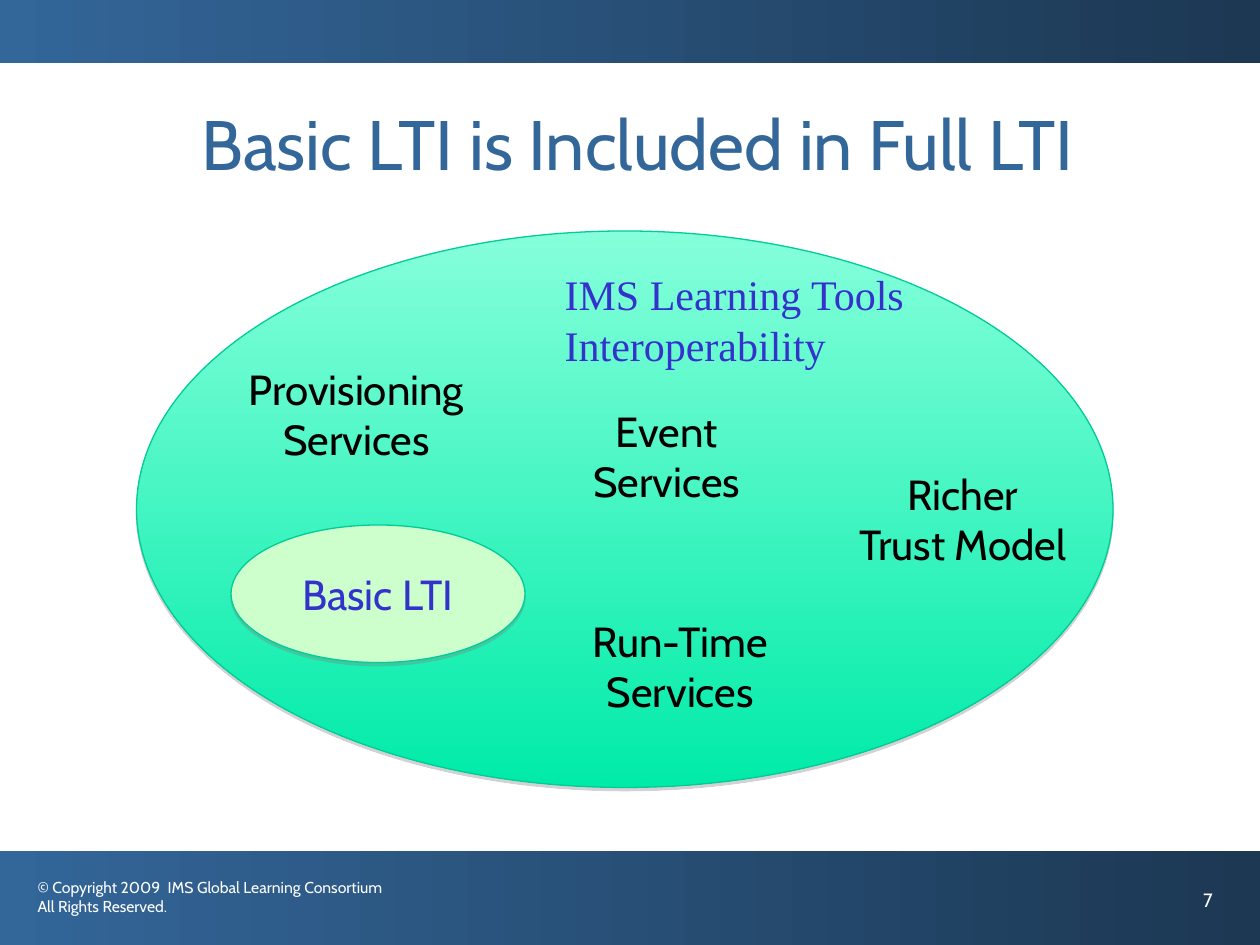
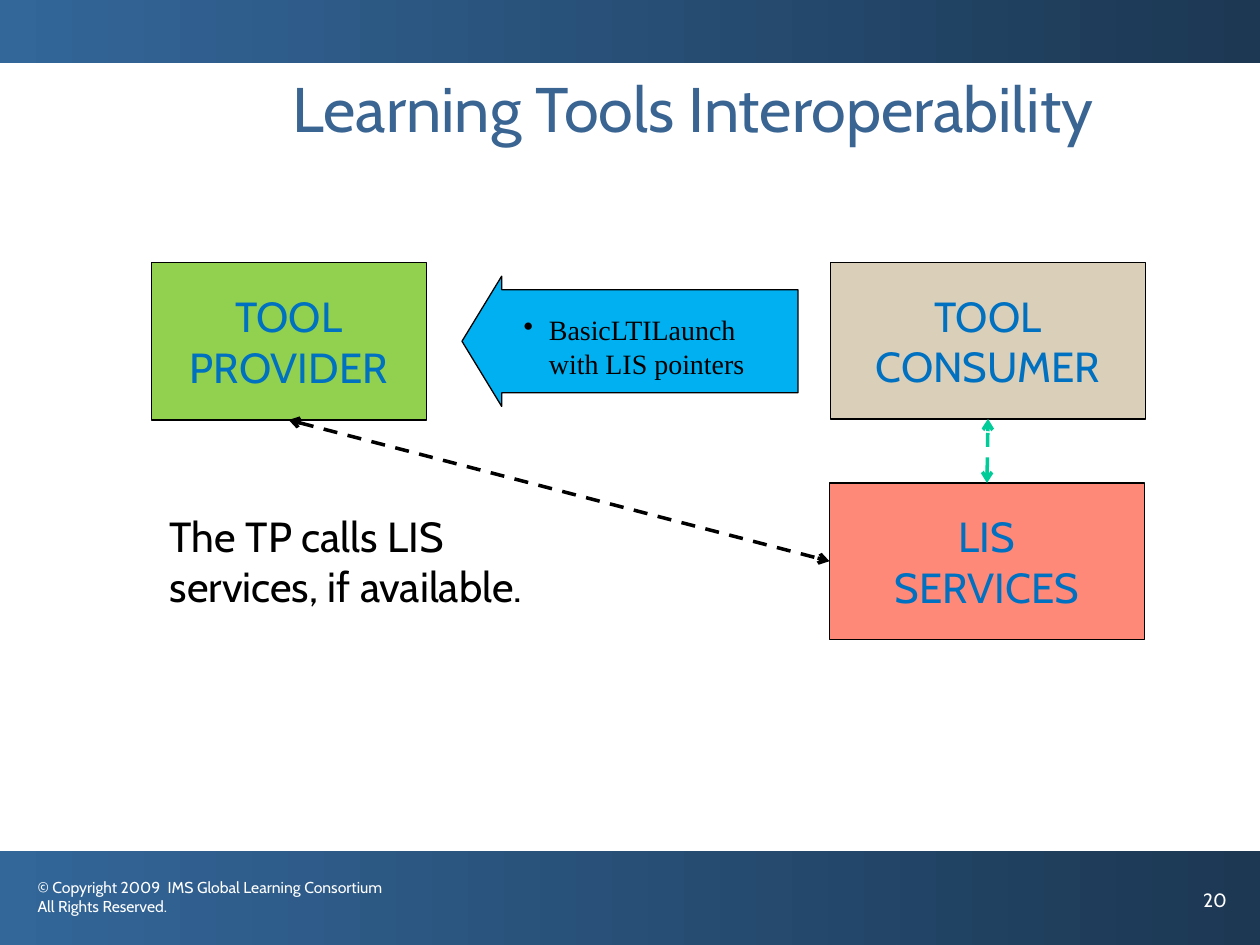
from lxml import etree
from pptx import Presentation
from pptx import util as u
from pptx.dml.color import RGBColor
from pptx.enum import dml, shapes, text
from pptx.oxml import ns

# Grid: one cell is a twelfth of an inch, so the slide is 120 x 90 cells
CELL = u.Inches(1) // 12
COLUMNS, ROWS = 120, 90
LABEL_HEIGHT = 10.8

# Shared styles
SANS, SERIF = "Cabin", "Times New Roman"
BAND = ("336699", "1C3853")
BODY = dict(name=SANS, size=24, color="000000")
CENTERED = dict(BODY, align="CENTER")
FOOTER = dict(name=SANS, size=9, color="FFFFFF")
NUMBER = dict(FOOTER, size=11)
BOX_TEXT = dict(CENTERED, color="0070C0")

# Shared content
COPYRIGHT = ["© Copyright 2009  IMS Global Learning Consortium",
             "All Rights Reserved."]
BANDS = [(0, 0, COLUMNS, 6), (0, 81.1, COLUMNS, ROWS - 81.1)]

# Content: what full LTI contains
INCLUDED = dict(
    number="7", title="Basic LTI is Included in Full LTI",
    title_at=(18, 9, 99, 14),
    title_style=dict(name=SANS, size=40, color="336699"))
FULL_LTI = dict(at=(13, 22, 93, 53), fill=("85FFDB", "00EBA8"))
BASIC_LTI = dict(at=(22, 50, 28, 13.1), fill="CCFFCC", lines=["Basic LTI"],
                 style=dict(CENTERED, color="3333CC"))
SERVICES = [  # lines, left, top, width, style
    (["Provisioning", "Services"], 21.1, 34, 25.7, CENTERED),
    (["Run-Time", "Services"], 54.6, 58, 20.4, CENTERED),
    (["Event", "Services"], 54.7, 38, 17.6, CENTERED),
    (["Richer", "Trust Model"], 79.2, 44, 25, CENTERED),
    (["IMS Learning Tools", "Interoperability"], 52.6, 25, 36,
     dict(BODY, name=SERIF, color="3333CC")),
]

# Content: how the systems talk to each other
INTEROPERABILITY = dict(
    number="20", title="Learning Tools Interoperability",
    title_at=(15, 6.6, 102, 15),
    title_style=dict(name=SANS, size=36, color="3A6492", align="CENTER",
                     line_spacing=0.95))
SYSTEMS = {
    "provider": (["TOOL PROVIDER"], (14.4, 25, 26.2, 15), "92D050"),
    "consumer": (["TOOL CONSUMER"], (79.1, 25, 30, 14.9), "DACFB9"),
    "lis": (["LIS", "SERVICES"], (79, 46, 30, 14.9), "FF8979"),
}
TOP, LEFT, BOTTOM = 0, 1, 2  # connection sites of a rectangle
LINKS = [("provider", BOTTOM, "lis", LEFT, "000000"),
         ("lis", TOP, "consumer", BOTTOM, "00CC99")]
LAUNCH_ARROW = dict(at=(44, 26.3, 32, 12.4), adjustments=(0.792, 0.305))
LAUNCH = ["BasicLTILaunch with LIS pointers"]
LAUNCH_STYLE = dict(BODY, name=SERIF, size=16, bullet=True)
NOTE = ["The TP calls LIS", "services, if available."]


def rgb(value):
    return RGBColor.from_string(value)


def cells(*values):
    return [round(value * CELL) for value in values]


def add_xml(parent, tag, **attributes):
    return etree.SubElement(parent, ns.qn(tag), attributes)


def write(shape, lines, style, anchor="TOP"):
    frame = shape.text_frame
    settings = dict(word_wrap=True,
                    vertical_anchor=getattr(text.MSO_ANCHOR, anchor),
                    margin_left=u.Inches(0.1), margin_right=u.Inches(0.1),
                    margin_top=u.Inches(0.05), margin_bottom=u.Inches(0.05))
    for name, value in settings.items():
        setattr(frame, name, value)
    for index, line in enumerate(lines):
        paragraph = frame.add_paragraph() if index else frame.paragraphs[0]
        paragraph.alignment = getattr(text.PP_ALIGN, style.get("align", "LEFT"))
        paragraph.line_spacing = style.get("line_spacing")
        if style.get("bullet"):
            properties = paragraph._p.get_or_add_pPr()
            indent = u.Inches(0.2)
            properties.set("marL", str(indent))
            properties.set("indent", str(-indent))
            add_xml(properties, "a:buChar", char="•")
        run = paragraph.add_run()
        run.text = line
        run.font.name = style["name"]
        run.font.size = u.Pt(style["size"])
        run.font.color.rgb = rgb(style["color"])


def add_label(slide, lines, at, style):
    write(slide.shapes.add_textbox(*cells(*at)), lines, style)


def add_figure(slide, kind, at, fill, line=None, angle=0):
    """Add a preset shape; a pair of colours makes a gradient."""
    shape = slide.shapes.add_shape(getattr(shapes.MSO_SHAPE, kind), *cells(*at))
    shape.shadow.inherit = False
    if isinstance(fill, tuple):
        shape.fill.gradient()
        shape.fill.gradient_angle = angle
        for stop, color in zip(shape.fill.gradient_stops, fill):
            stop.color.rgb = rgb(color)
    else:
        shape.fill.solid()
        shape.fill.fore_color.rgb = rgb(fill)
    if line:
        shape.line.color.rgb = rgb(line)
        shape.line.width = u.Pt(0.75)
    else:
        shape.line.fill.background()
    return shape


def add_oval(slide, at, fill):
    """Add an ellipse with a soft shadow below it."""
    oval = add_figure(slide, "OVAL", at, fill, "00CC98", angle=270)
    effects = oval._element.spPr.find(ns.qn("a:effectLst"))
    shadow = add_xml(effects, "a:outerShdw", blurRad="0",
                     dist=str(u.Pt(1.8)), dir="5400000", rotWithShape="0")
    color = add_xml(shadow, "a:srgbClr", val="808080")
    add_xml(color, "a:alpha", val="35000")
    return oval


def add_link(slide, start, start_site, end, end_site, color):
    """Join two shapes with a dashed line that has arrows at both ends."""
    link = slide.shapes.add_connector(shapes.MSO_CONNECTOR.STRAIGHT, 0, 0, 0, 0)
    link.begin_connect(start, start_site)
    link.end_connect(end, end_site)
    link.line.color.rgb = rgb(color)
    link.line.width = u.Pt(2)
    link.line.dash_style = dml.MSO_LINE.DASH
    for tag in ("a:headEnd", "a:tailEnd"):
        add_xml(link.line._get_or_add_ln(), tag, type="arrow")
    add_xml(link._element.spPr, "a:effectLst")


def start_slide(presentation, page):
    slide = presentation.slides.add_slide(presentation.slide_layouts[6])
    for band in BANDS:
        add_figure(slide, "RECTANGLE", band, BAND)
    add_label(slide, COPYRIGHT, (2.4, 83, 37.5, 6), FOOTER)
    add_label(slide, [page["number"]], (113.4, 84, 6.6, 6), NUMBER)
    add_label(slide, [page["title"]], page["title_at"], page["title_style"])
    return slide


def build_included(presentation):
    slide = start_slide(presentation, INCLUDED)
    add_oval(slide, **FULL_LTI)
    basic = add_oval(slide, BASIC_LTI["at"], BASIC_LTI["fill"])
    write(basic, BASIC_LTI["lines"], BASIC_LTI["style"], "MIDDLE")
    for lines, left, top, width, style in SERVICES:
        add_label(slide, lines, (left, top, width, LABEL_HEIGHT), style)


def build_interoperability(presentation):
    slide = start_slide(presentation, INTEROPERABILITY)
    boxes = {}
    for name, (lines, at, fill) in SYSTEMS.items():
        boxes[name] = add_figure(slide, "RECTANGLE", at, fill, "000000")
        write(boxes[name], lines, BOX_TEXT, "MIDDLE")
    arrow = add_figure(slide, "LEFT_ARROW", LAUNCH_ARROW["at"], "00B0F0", "000000")
    for index, value in enumerate(LAUNCH_ARROW["adjustments"]):
        arrow.adjustments[index] = value
    add_label(slide, LAUNCH, (48.7, 29.2, 24.4, LABEL_HEIGHT), LAUNCH_STYLE)
    for start, start_site, end, end_site, color in LINKS:
        add_link(slide, boxes[start], start_site, boxes[end], end_site, color)
    add_label(slide, NOTE, (15, 48, 47, LABEL_HEIGHT), BODY)


def main():
    presentation = Presentation()
    presentation.slide_width, presentation.slide_height = cells(COLUMNS, ROWS)
    build_included(presentation)
    build_interoperability(presentation)
    presentation.save("out.pptx")


if __name__ == "__main__":
    main()
